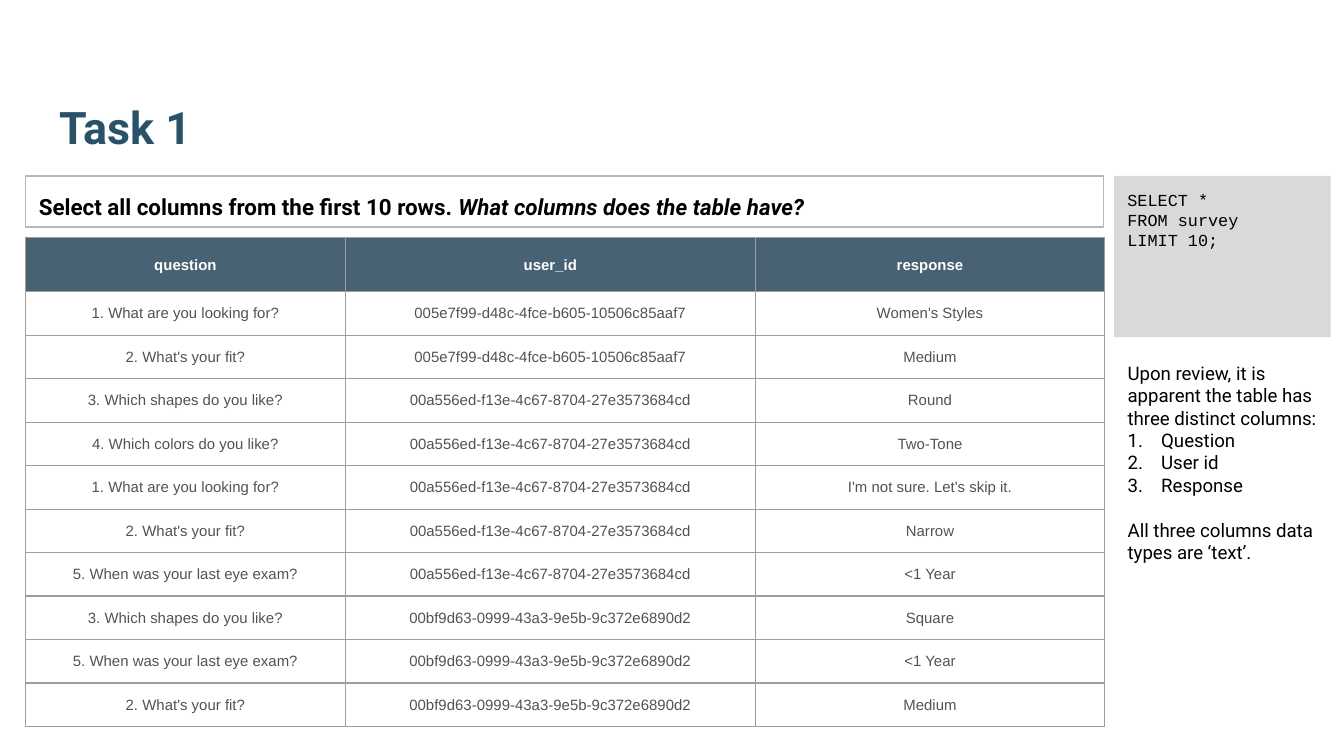
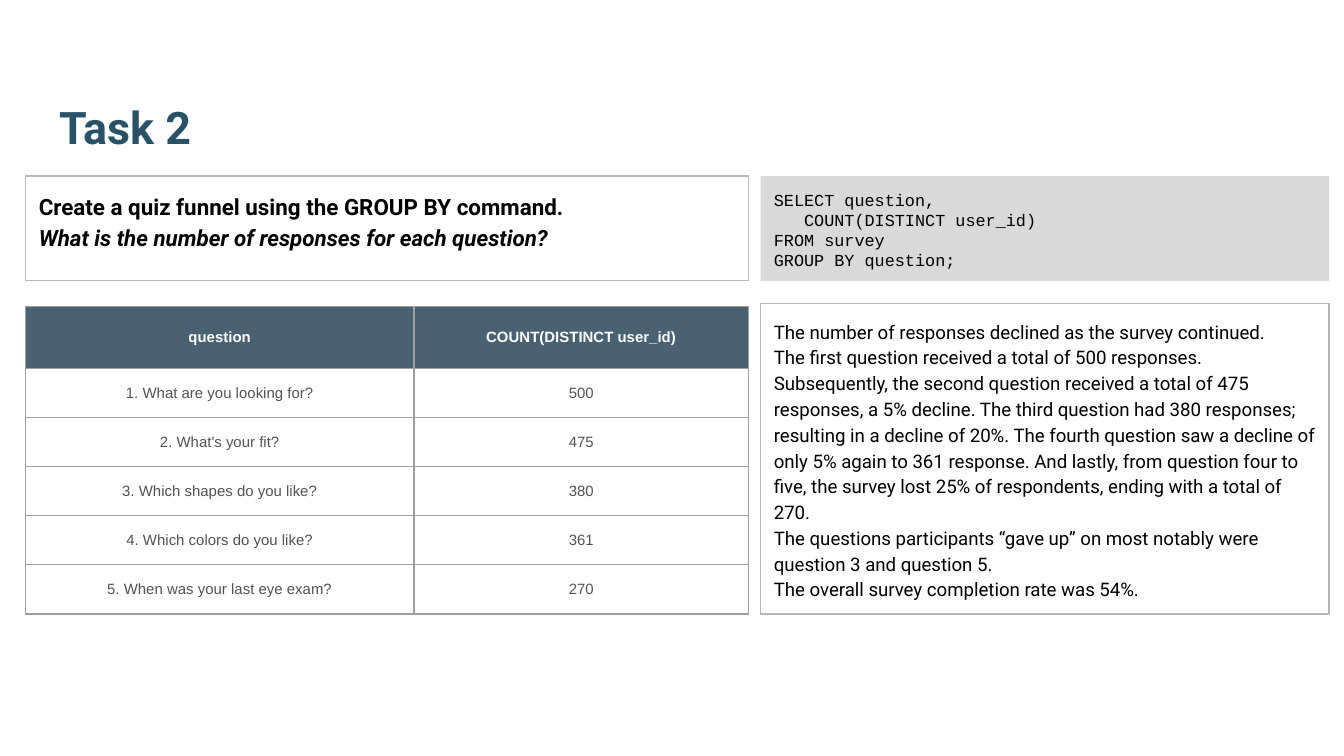
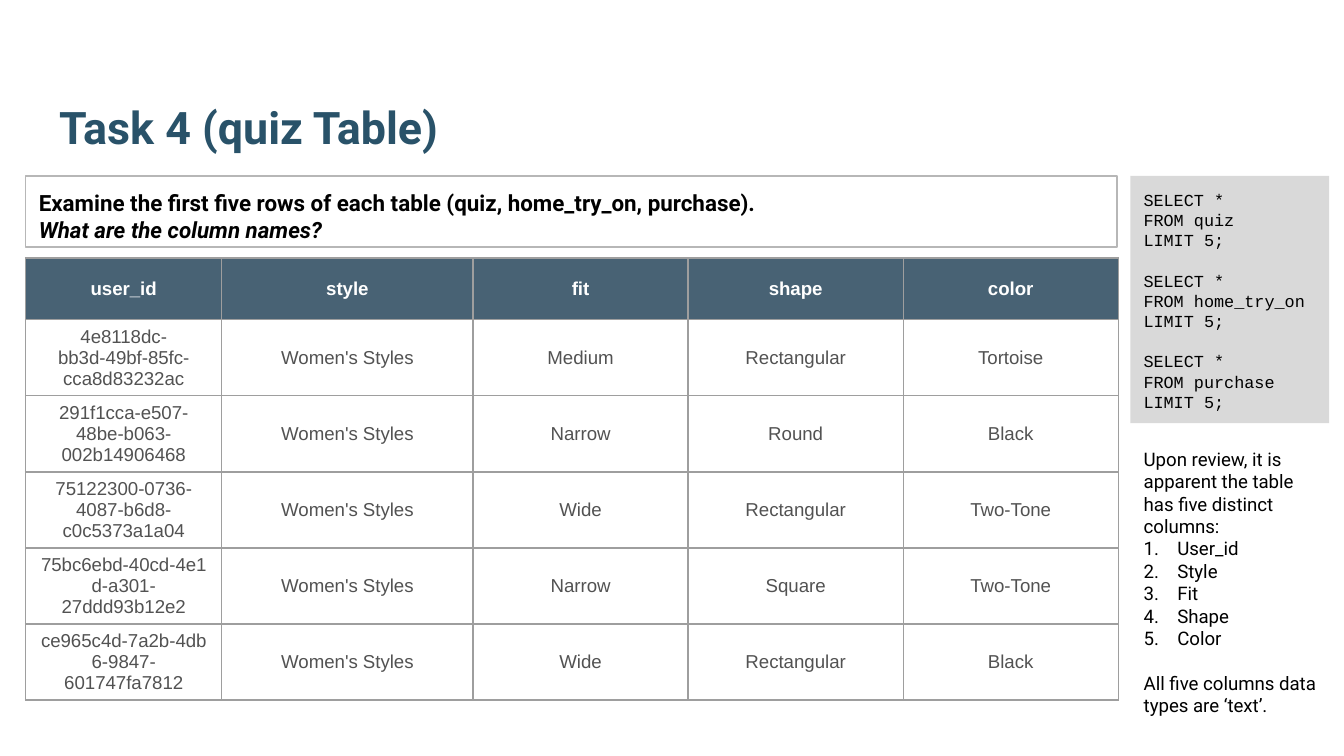
from lxml.etree import SubElement
from pptx import Presentation
from pptx.dml.color import RGBColor
from pptx.enum.shapes import MSO_SHAPE
from pptx.enum.text import MSO_ANCHOR as Anchor, MSO_AUTO_SIZE as AutoSize, PP_ALIGN as Align
from pptx.oxml import parse_xml
from pptx.oxml.ns import nsdecls, qn
from pptx.util import Inches, Pt

COLORS = {
    "title": "295269",
    "text": "000000",
    "code_fill": "D9D9D9",
    "panel_line": "B7B7B7",
    "header_fill": "204056",
    "header_text": "FFFFFF",
    "cell_text": "525252",
    "grid": "9E9E9E",
}
HEADER_OPACITY = 82
HEADING_FONT, TABLE_FONT, CODE_FONT = "Roboto", "Arial", "Courier New"
LEFT, TOP = 0.19, 1.31
TITLE_LAYOUT_INDEX, REVIEW_LAYOUT_INDEX = 5, 1


def rgb(name):
    return RGBColor.from_string(COLORS[name])


def place(shape, left, top, width, height):
    shape.left, shape.top = Inches(left), Inches(top)
    shape.width, shape.height = Inches(width), Inches(height)


def prepare_frame(frame, anchor=Anchor.TOP):
    frame.word_wrap = True
    frame.auto_size = AutoSize.NONE
    frame.vertical_anchor = anchor
    frame.margin_left = frame.margin_right = Inches(0.1)
    frame.margin_top = frame.margin_bottom = Inches(0.1)


def format_paragraph(paragraph, font, size, color="text", bold=False,
                     align=Align.LEFT, spacing=1.0, before=0):
    paragraph.alignment = align
    paragraph.line_spacing = spacing
    paragraph.space_before = Pt(before)
    for run in paragraph.runs:
        run.font.name = font
        run.font.size = Pt(size)
        run.font.bold = bold
        run.font.color.rgb = rgb(color)


def set_list_style(paragraph, numbered):
    properties = paragraph._p.get_or_add_pPr()
    indent = Inches(0.25) if numbered else 0
    properties.set("marL", str(indent))
    properties.set("indent", str(-indent))
    if numbered:
        color = SubElement(properties, qn("a:buClr"))
        SubElement(color, qn("a:srgbClr"), val=COLORS["text"])
        SubElement(properties, qn("a:buFont"), typeface=HEADING_FONT)
        SubElement(properties, qn("a:buAutoNum"), type="arabicPeriod")
    else:
        SubElement(properties, qn("a:buNone"))


def add_task_slide(deck, title, layout_index):
    slide = deck.slides.add_slide(deck.slide_layouts[layout_index])
    heading = slide.shapes.title
    place(heading, 0.34, 0.32, 9.32, 0.92)
    heading.text_frame.text = title
    prepare_frame(heading.text_frame, Anchor.BOTTOM)
    format_paragraph(heading.text_frame.paragraphs[0], HEADING_FONT, 24, "title", True)
    return slide


def add_panel(slide, left, top, width, height, fill=None, line=None):
    panel = slide.shapes.add_shape(
        MSO_SHAPE.RECTANGLE, Inches(left), Inches(top), Inches(width), Inches(height))
    panel.shadow.inherit = False
    if fill:
        panel.fill.solid()
        panel.fill.fore_color.rgb = rgb(fill)
    else:
        panel.fill.background()
    if line:
        panel.line.color.rgb = rgb(line)
        panel.line.width = Pt(0.75)
    else:
        panel.line.fill.background()
    prepare_frame(panel.text_frame)
    return panel.text_frame


def add_code(slide, left, width, height, *statements):
    frame = add_panel(slide, left, TOP, width, height, fill="code_fill")
    frame.text = "\n".join(statements)
    for number, paragraph in enumerate(frame.paragraphs):
        new_statement = number > 0 and paragraph.text.startswith("SELECT")
        format_paragraph(paragraph, CODE_FONT, 9, before=10.8 if new_statement else 0)


def add_question(slide, width, height, task, question, same_line=False, spacing=1.15):
    frame = add_panel(slide, LEFT, TOP, width, height, line="panel_line")
    frame.text = task
    holder = frame.paragraphs[0] if same_line else frame.add_paragraph()
    question_run = holder.add_run()
    question_run.text = question
    for paragraph in frame.paragraphs:
        format_paragraph(paragraph, HEADING_FONT, 12, bold=True, spacing=spacing)
    question_run.font.italic = True


def add_summary(slide, left, top, width, height, lines):
    frame = add_panel(slide, left, top, width, height, line="panel_line")
    frame.text = "\n".join(lines)
    for paragraph in frame.paragraphs:
        format_paragraph(paragraph, HEADING_FONT, 10, spacing=1.15)


def add_review(slide, left, top, width, height, intro, columns, conclusion):
    review = slide.placeholders[1]
    place(review, left, top, width, height)
    frame = review.text_frame
    frame.text = "\n".join([intro, *columns, conclusion])
    prepare_frame(frame)
    last = len(columns) + 1
    for number, paragraph in enumerate(frame.paragraphs):
        set_list_style(paragraph, 0 < number < last)
        format_paragraph(paragraph, HEADING_FONT, 10, before=12 if number == last else 0)


def add_borders(cell):
    properties = cell._tc.get_or_add_tcPr()
    for position, side in enumerate(("lnL", "lnR", "lnT", "lnB")):
        properties.insert(position, parse_xml(
            f'<a:{side} {nsdecls("a")} w="{Pt(0.75)}"><a:solidFill>'
            f'<a:srgbClr val="{COLORS["grid"]}"/></a:solidFill></a:{side}>'))


def fill_header(cell):
    cell.fill.solid()
    cell.fill.fore_color.rgb = rgb("header_fill")
    color = cell._tc.tcPr.find(".//" + qn("a:srgbClr"))
    SubElement(color, qn("a:alpha"), val=str(HEADER_OPACITY * 1000))


def add_results(slide, top, height, header_height, widths, rows, size=8):
    frame = slide.shapes.add_table(
        len(rows), len(widths), Inches(LEFT), Inches(top), Inches(sum(widths)), Inches(height))
    table = frame.table
    table.first_row = table.horz_banding = False
    for column, width in zip(table.columns, widths):
        column.width = Inches(width)
    row_height = (height - header_height) / (len(rows) - 1)
    for number, values in enumerate(rows):
        is_header = number == 0
        table.rows[number].height = Inches(header_height if is_header else row_height)
        for position, value in enumerate(values):
            cell = table.cell(number, position)
            cell.text_frame.text = value
            cell.vertical_anchor = Anchor.MIDDLE
            format_paragraph(cell.text_frame.paragraphs[0], TABLE_FONT, size,
                             "header_text" if is_header else "cell_text",
                             is_header, Align.CENTER)
            if is_header:
                fill_header(cell)
            else:
                cell.fill.background()
            add_borders(cell)


LOOKING = "1. What are you looking for?"
FIT = "2. What's your fit?"
SHAPES = "3. Which shapes do you like?"
TONES = "4. Which colors do you like?"
EXAM = "5. When was your last eye exam?"
FIRST_USER = "005e7f99-d48c-4fce-b605-10506c85aaf7"
SECOND_USER = "00a556ed-f13e-4c67-8704-27e3573684cd"
THIRD_USER = "00bf9d63-0999-43a3-9e5b-9c372e6890d2"
WOMEN = "Women's Styles"

SURVEY_ROWS = [
    ("question", "user_id", "response"),
    (LOOKING, FIRST_USER, WOMEN),
    (FIT, FIRST_USER, "Medium"),
    (SHAPES, SECOND_USER, "Round"),
    (TONES, SECOND_USER, "Two-Tone"),
    (LOOKING, SECOND_USER, "I'm not sure. Let's skip it."),
    (FIT, SECOND_USER, "Narrow"),
    (EXAM, SECOND_USER, "<1 Year"),
    (SHAPES, THIRD_USER, "Square"),
    (EXAM, THIRD_USER, "<1 Year"),
    (FIT, THIRD_USER, "Medium"),
]
FUNNEL_ROWS = [
    ("question", "COUNT(DISTINCT user_id)"),
    (LOOKING, "500"),
    (FIT, "475"),
    (SHAPES, "380"),
    (TONES, "361"),
    (EXAM, "270"),
]
QUIZ_ROWS = [
    ("user_id", "style", "fit", "shape", "color"),
    ("4e8118dc-bb3d-49bf-85fc-cca8d83232ac", WOMEN, "Medium", "Rectangular", "Tortoise"),
    ("291f1cca-e507-48be-b063-002b14906468", WOMEN, "Narrow", "Round", "Black"),
    ("75122300-0736-4087-b6d8-c0c5373a1a04", WOMEN, "Wide", "Rectangular", "Two-Tone"),
    ("75bc6ebd-40cd-4e1d-a301-27ddd93b12e2", WOMEN, "Narrow", "Square", "Two-Tone"),
    ("ce965c4d-7a2b-4db6-9847-601747fa7812", WOMEN, "Wide", "Rectangular", "Black"),
]
FUNNEL_SUMMARY = [
    "The number of responses declined as the survey continued.",
    "The first question received a total of 500 responses. Subsequently, the second "
    "question received a total of 475 responses, a 5% decline. The third question had "
    "380 responses; resulting in a decline of 20%. The fourth question saw a decline of "
    "only 5% again to 361 response. And lastly, from question four to five, the survey "
    "lost 25% of respondents, ending with a total of 270.",
    "The questions participants “gave up” on most notably were question 3 and question 5.",
    "The overall survey completion rate was 54%.",
]


def build_survey(deck):
    slide = add_task_slide(deck, "Task 1", REVIEW_LAYOUT_INDEX)
    add_code(slide, 8.29, 1.61, 1.2, "SELECT *\nFROM survey\nLIMIT 10;")
    add_question(slide, 8.02, 0.38, "Select all columns from the first 10 rows. ",
                 "What columns does the table have?", same_line=True)
    add_results(slide, 1.77, 3.64, 0.4, (2.38, 3.05, 2.6), SURVEY_ROWS)
    add_review(slide, 8.29, 2.59, 1.61, 2.82,
               "Upon review, it is apparent the table has three distinct columns:",
               ["Question", "User id", "Response"],
               "All three columns data types are ‘text’.")


def build_funnel(deck):
    slide = add_task_slide(deck, "Task 2", TITLE_LAYOUT_INDEX)
    add_code(slide, 5.66, 4.23, 0.78,
             "SELECT question,\n   COUNT(DISTINCT user_id)\nFROM survey\nGROUP BY question;")
    add_question(slide, 5.38, 0.78, "Create a quiz funnel using the GROUP BY command.",
                 "What is the number of responses for each question?")
    add_results(slide, 2.28, 2.29, 0.46, (2.89, 2.49), FUNNEL_ROWS)
    add_summary(slide, 5.66, 2.26, 4.23, 2.31, FUNNEL_SUMMARY)


def build_quiz(deck):
    slide = add_task_slide(deck, "Task 4 (quiz Table)", REVIEW_LAYOUT_INDEX)
    add_code(slide, 8.41, 1.48, 1.84,
             *(f"SELECT *\nFROM {table}\nLIMIT 5;"
               for table in ("quiz", "home_try_on", "purchase")))
    add_question(slide, 8.12, 0.53,
                 "Examine the first five rows of each table (quiz, home_try_on, purchase).",
                 "What are the column names?", spacing=1.0)
    add_results(slide, 1.92, 3.29, 0.46, (1.46, 1.87, 1.6, 1.6, 1.6), QUIZ_ROWS, size=10)
    add_review(slide, 8.41, 3.23, 1.5, 2.14,
               "Upon review, it is apparent the table has five distinct columns:",
               ["User_id", "Style", "Fit", "Shape", "Color"],
               "All five columns data types are ‘text’.")


def main():
    deck = Presentation()
    deck.slide_width = Inches(10)
    deck.slide_height = deck.slide_width * 9 // 16
    build_survey(deck)
    build_funnel(deck)
    build_quiz(deck)
    deck.save("out.pptx")


if __name__ == "__main__":
    main()
